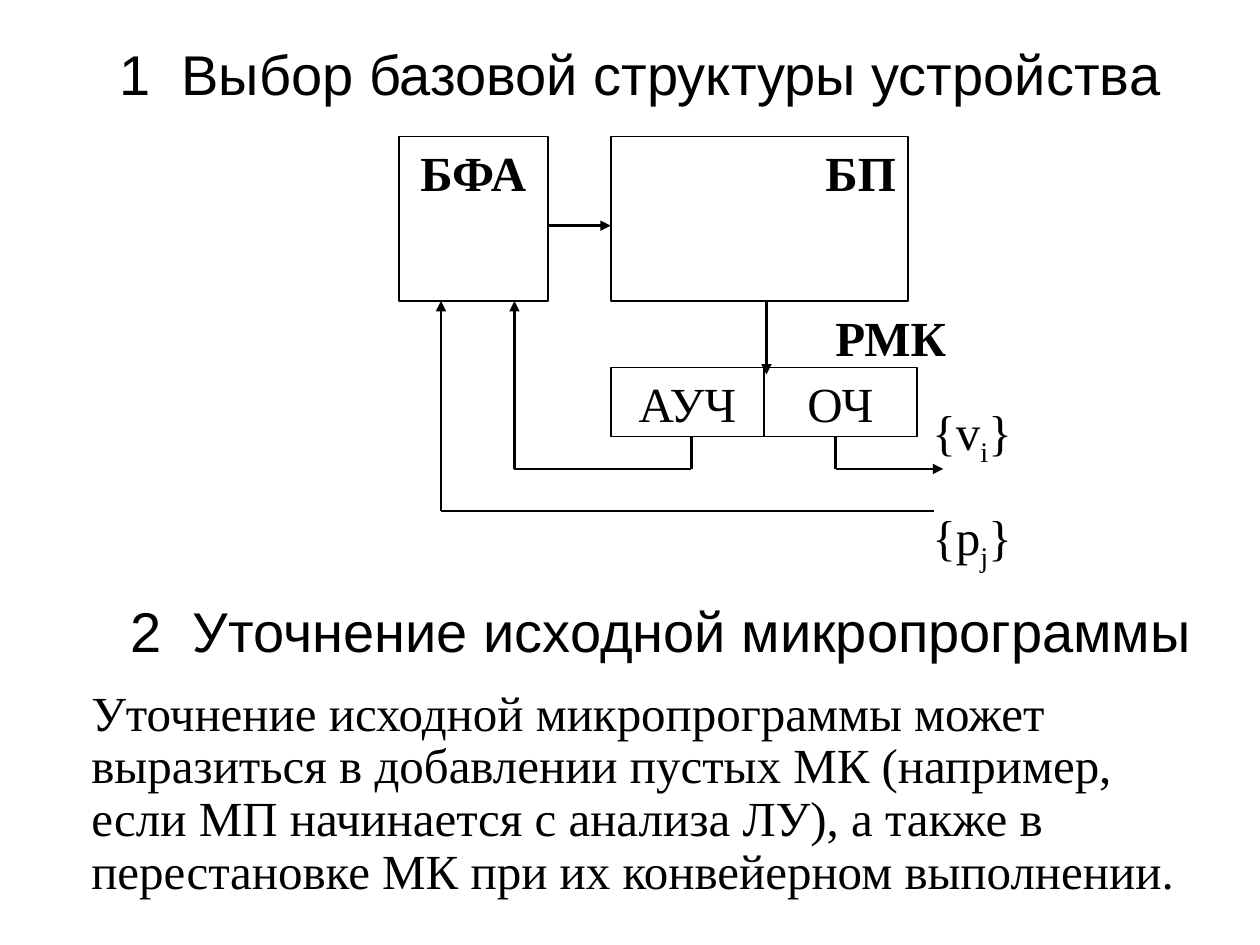
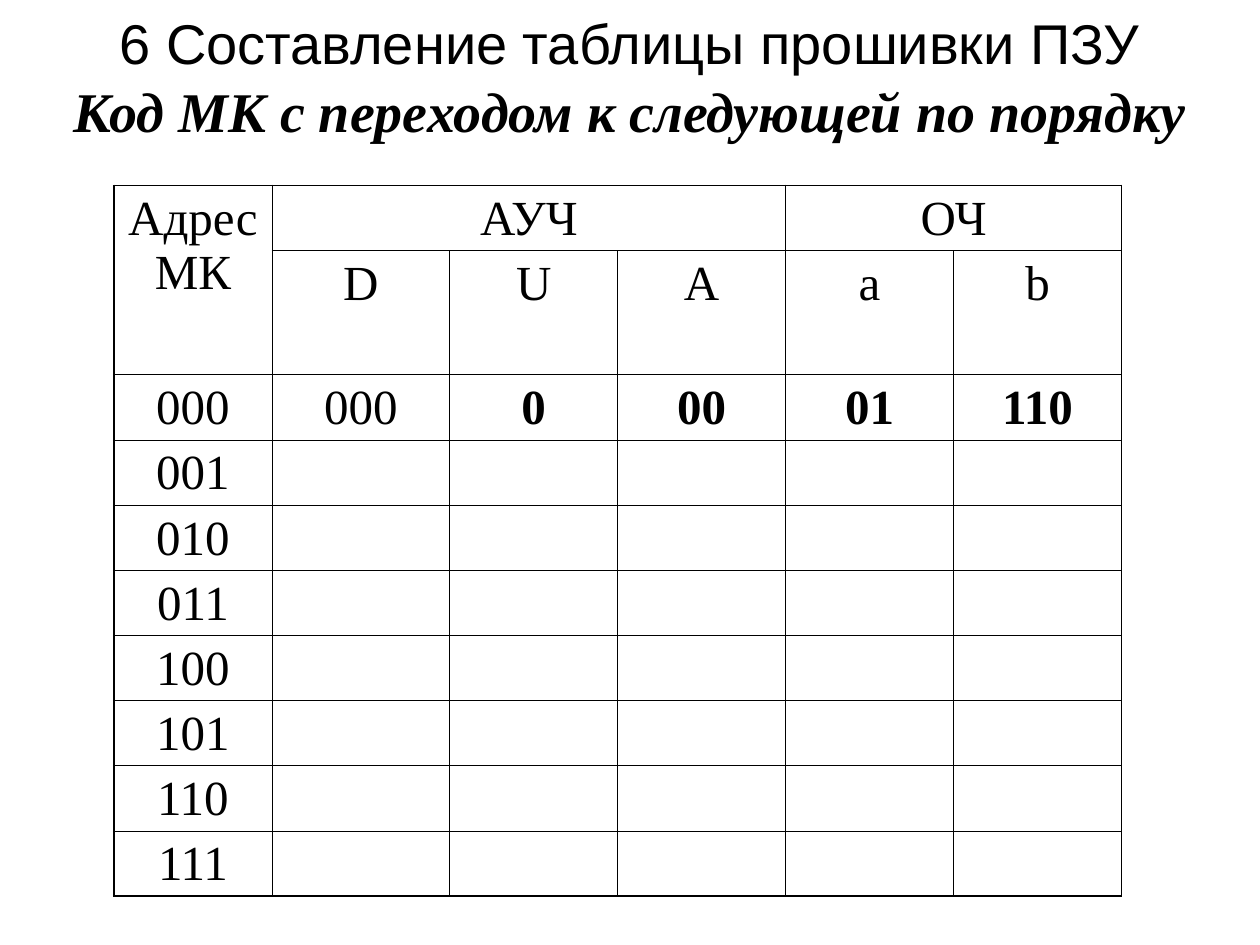
"""Build two slides on a microprogram control unit: its block scheme and ROM table."""
from itertools import pairwise
from lxml.etree import SubElement as Sub
from pptx import Presentation
from pptx.dml.color import RGBColor
from pptx.enum.shapes import MSO_CONNECTOR as Conn, MSO_SHAPE as Kind
from pptx.enum.text import MSO_ANCHOR as Anchor, PP_ALIGN as Align
from pptx.oxml.ns import qn
from pptx.util import Pt

INK = RGBColor(0, 0, 0)
SANS, SERIF = "Arial", "Times New Roman"
HEAD, BODY = 32, 28
THIN, THICK = 0.45, 1.08

TITLES = [
    ("1  Выбор базовой структуры устройства", (30, 6, 672, 72)),
    ("2  Уточнение исходной микропрограммы", (42, 324, 672, 72)),
]
NOTE = ("Уточнение исходной микропрограммы может выразиться в добавлении "
        "пустых МК (например, если МП начинается с анализа ЛУ), а также в "
        "перестановке МК при их конвейерном выполнении.")
NOTE_AT = (18, 390, 684, 132)

BLOCKS = [
    ("БФА", (228, 78, 85, 94), Align.CENTER, True),
    ("БП", (349, 78, 170, 94), Align.RIGHT, True),
    ("АУЧ", (349, 210, 87.5, 39.5), Align.CENTER, False),
    ("ОЧ", (436.5, 210, 87.5, 39.5), Align.CENTER, False),
]
WIRES = [
    ([(438, 172), (438, 214)], True),
    ([(313, 129), (349, 129)], True),
    ([(395, 250), (395, 268), (294, 268), (294, 172)], True),
    ([(477.5, 250), (477.5, 268), (539, 268)], True),
    ([(534, 292), (252, 292), (252, 172)], True),
]
SIGNALS = [("v", "i", 226), ("p", "j", 286)]
REG, REG_AT = "РМК", (468, 172, 82, 36)

ROM = "6 Составление таблицы прошивки ПЗУ"
CODE = "Код МК с переходом к следующей по порядку"
ROM_AT = (20, 9.5, 680, 68)
GRID = [
    ["Адрес\vМК", "АУЧ", "", "", "ОЧ", ""],
    ["", "D", "U", "A", "a", "b"],
    ["000", "000", "0", "00", "01", "110"],
] + [[f"{n:03b}"] + [""] * 5 for n in range(1, 8)]
SPANS = [((0, 0), (1, 0)), ((0, 1), (0, 3)), ((0, 4), (0, 5))]
COLS = [90.5, 101.5, 96, 96, 96, 96]
ROWS = [36, 65.3] + [36] * 8
GRID_AT = (65, 106)
BOLD_ROW, BOLD_COL = 2, 2


def style(run, face=SERIF, size=BODY, bold=False, slant=False):
    """Give a run its font."""
    font = run.font
    font.name, font.size, font.bold, font.italic = face, Pt(size), bold, slant
    font.color.rgb = INK


def add_text(slide, text, at, align=Align.CENTER, **look):
    """Add a wrapped text box and return its frame."""
    frame = slide.shapes.add_textbox(*map(Pt, at)).text_frame
    frame.word_wrap = True
    fill_text(frame, text, align, **look)
    return frame


def fill_text(frame, text, align=Align.CENTER, **look):
    """Put one styled paragraph in a frame."""
    frame.text = text
    para = frame.paragraphs[0]
    para.alignment = align
    for run in para.runs:
        style(run, **look)


def add_title(slide, text, at):
    """Add a title and return its frame."""
    frame = add_text(slide, text, at, face=SANS, size=HEAD)
    frame.vertical_anchor = Anchor.MIDDLE
    return frame


def add_block(slide, text, at, align, bold):
    """Add an outlined block of the scheme."""
    box = slide.shapes.add_shape(Kind.RECTANGLE, *map(Pt, at))
    box.shadow.inherit = False
    box.fill.background()
    box.line.color.rgb = INK
    box.line.width = Pt(1)
    box.text_frame.word_wrap = True
    box.text_frame.vertical_anchor = Anchor.TOP
    fill_text(box.text_frame, text, align, bold=bold)


def add_wire(slide, points, arrow):
    """Join points by straight lines, with an arrow on the last."""
    for start, end in pairwise(points):
        wire = slide.shapes.add_connector(Conn.STRAIGHT, *map(Pt, start + end))
        wire.line.color.rgb = INK
        wire.line.width = Pt(1.5)
        props = wire._element.spPr
        if arrow and end == points[-1]:
            Sub(props.find(qn("a:ln")), qn("a:tailEnd"), type="triangle")
        Sub(props, qn("a:effectLst"))


def add_signal(slide, name, index, top):
    """Add a set of signals with a lowered index."""
    frame = add_text(slide, "{" + name, (517, top, 77, 36))
    para = frame.paragraphs[0]
    for part in (index, "}"):
        run = para.add_run()
        run.text = part
        style(run)
    para.runs[1].font._element.set("baseline", "-25000")


def edge(cell, row, col):
    """Draw cell borders, thicker on the rim of the table."""
    rims = {"L": col == 0, "R": col == len(COLS) - 1,
            "T": row == 0, "B": row == len(ROWS) - 1}
    props = cell._tc.get_or_add_tcPr()
    for place, (side, rim) in enumerate(rims.items()):
        line = Sub(props, qn(f"a:ln{side}"), w=str(Pt(THICK if rim else THIN)))
        fill = Sub(line, qn("a:solidFill"))
        Sub(fill, qn("a:srgbClr"), val=str(INK))
        props.insert(place, line)


def add_grid(slide):
    """Add the ROM table."""
    size = sum(COLS), sum(ROWS)
    table = slide.shapes.add_table(
        len(ROWS), len(COLS), *map(Pt, GRID_AT + size)).table
    table.first_row = table.horz_banding = False
    for col, width in zip(table.columns, COLS):
        col.width = Pt(width)
    for row, height in zip(table.rows, ROWS):
        row.height = Pt(height)
    for first, last in SPANS:
        table.cell(*first).merge(table.cell(*last))
    for r, texts in enumerate(GRID):
        for c, text in enumerate(texts):
            cell = table.cell(r, c)
            cell.fill.background()
            cell.margin_bottom = Pt(0)
            edge(cell, r, c)
            if text:
                bold = r == BOLD_ROW and c >= BOLD_COL
                fill_text(cell.text_frame, text, bold=bold)


def scheme(slide):
    """Fill the slide with the block scheme."""
    for text, at in TITLES:
        add_title(slide, text, at)
    note = add_text(slide, NOTE, NOTE_AT, Align.LEFT)
    note.margin_left = Pt(34.2)
    note.paragraphs[0].line_spacing = 0.9
    for block in BLOCKS:
        add_block(slide, *block)
    for wire in WIRES:
        add_wire(slide, *wire)
    for signal in SIGNALS:
        add_signal(slide, *signal)
    add_text(slide, REG, REG_AT, bold=True)


def memory(slide):
    """Fill the slide with the ROM table."""
    para = add_title(slide, ROM, ROM_AT).paragraphs[0]
    para.add_line_break()
    run = para.add_run()
    run.text = CODE
    style(run, size=HEAD, bold=True, slant=True)
    add_grid(slide)


def main():
    """Build and save the deck."""
    deck = Presentation()
    deck.slide_width, deck.slide_height = Pt(720), Pt(540)
    for build in (scheme, memory):
        build(deck.slides.add_slide(deck.slide_layouts[6]))
    deck.save("out.pptx")


if __name__ == "__main__":
    main()
